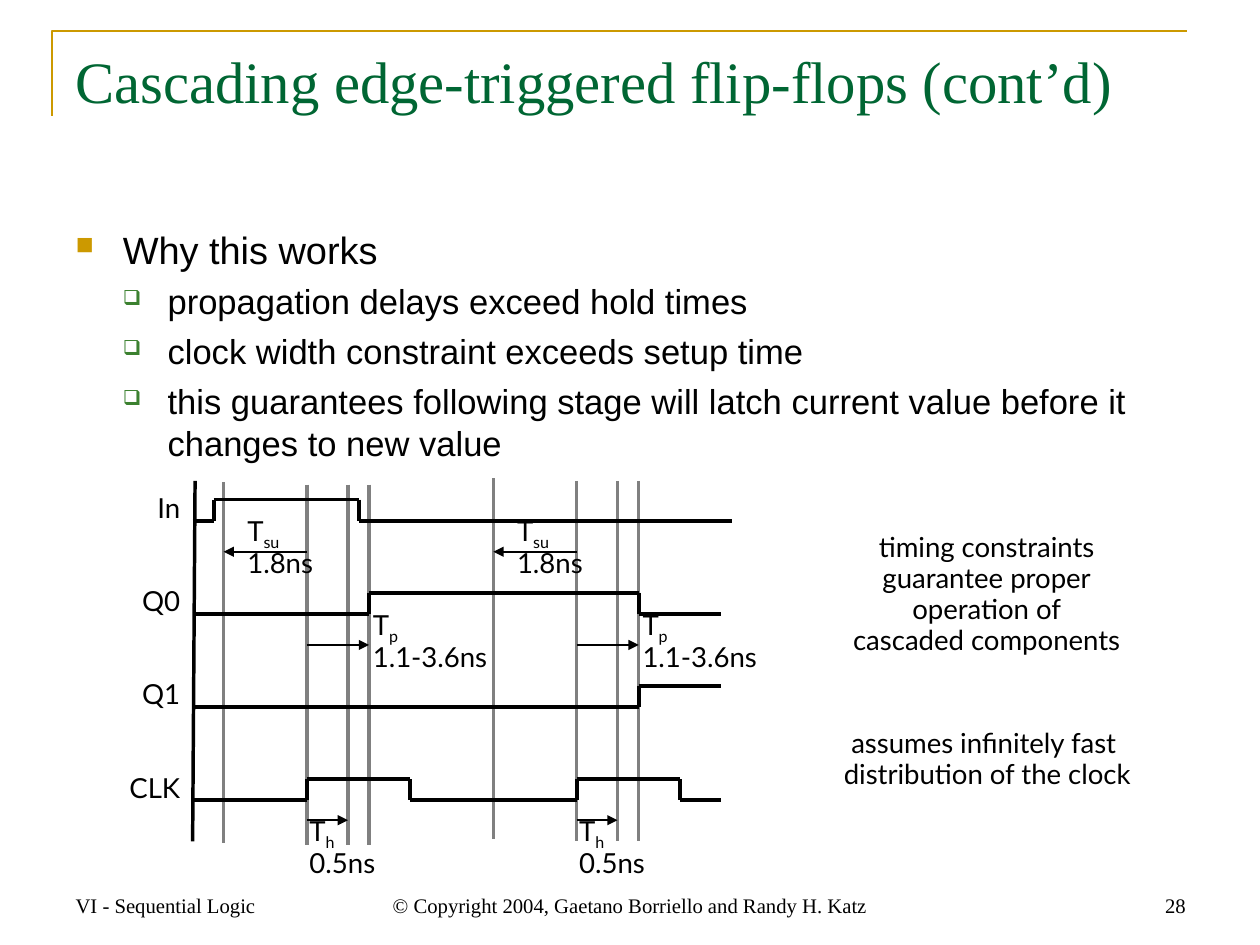
from itertools import pairwise

from lxml import etree
from pptx import Presentation
from pptx import util as u
from pptx.dml.color import RGBColor
from pptx.enum import shapes, text
from pptx.oxml.ns import qn

PX = 9144
COLORS = {"gold": "CC9900", "title": "006633", "ink": "000000",
          "guide": "808080", "check": "3B812F"}
SERIF, SANS, LABEL = "Times New Roman", "Arial", "Lato"
ALIGN = text.PP_ALIGN
TIGHT, ROOMY = (2, 3), (10, 5)


def px(length):
    return u.Emu(length * PX)


def rgb(color):
    return RGBColor.from_string(COLORS[color])


def text_frame(slide, box, inset=ROOMY, anchor=text.MSO_ANCHOR.TOP):
    frame = slide.shapes.add_textbox(*map(px, box)).text_frame
    frame.word_wrap = True
    frame.margin_left = frame.margin_right = px(inset[0])
    frame.margin_top = frame.margin_bottom = px(inset[1])
    frame.vertical_anchor = anchor
    return frame


def next_paragraph(frame):
    first = frame.paragraphs[0]
    return frame.add_paragraph() if first.runs else first


def style(paragraph, face, size, color="ink", align=ALIGN.LEFT, spacing=None):
    paragraph.alignment = align
    paragraph.font.name = face
    paragraph.font.size = u.Pt(size)
    paragraph.font.color.rgb = rgb(color)
    if spacing:
        paragraph.line_spacing = spacing


def add_bullet(paragraph, mark, color, percent, left, hang):
    props = paragraph._p.get_or_add_pPr()
    props.set("marL", str(px(left)))
    props.set("indent", str(px(-hang)))
    tint = etree.SubElement(props, qn("a:buClr"))
    etree.SubElement(tint, qn("a:srgbClr")).set("val", COLORS[color])
    etree.SubElement(props, qn("a:buSzPct")).set("val", str(percent * 1000))
    etree.SubElement(props, qn("a:buChar")).set("char", mark)


def add_line(slide, start, end, color, width, arrow=False):
    line = slide.shapes.add_connector(
        shapes.MSO_CONNECTOR.STRAIGHT, *map(px, (*start, *end)))
    line.line.color.rgb = rgb(color)
    line.line.width = u.Pt(width)
    if arrow:
        etree.SubElement(line.line._get_or_add_ln(), qn("a:tailEnd")).set("type", "triangle")
    etree.SubElement(line._element.spPr, qn("a:effectLst"))


def title_region(slide, box):
    left, top, width, height = box
    outline = slide.shapes.build_freeform(left - 9, top + 62, scale=PX)
    outline.add_line_segments(
        [(left - 9, top - 6), (left + width - 8, top - 6)], close=False)
    rule = outline.convert_to_shape()
    rule.shadow.inherit = False
    rule.fill.background()
    rule.line.color.rgb = rgb("gold")
    rule.line.width = u.Pt(1.5)
    heading = text_frame(slide, box).paragraphs[0]
    heading.add_run().text = "Cascading edge-triggered flip-flops (cont’d)"
    style(heading, SERIF, 34, "title")


def reasons_region(slide, box):
    frame = text_frame(slide, box)
    claim = next_paragraph(frame)
    claim.add_run().text = "Why this works"
    add_bullet(claim, "■", "gold", 65, 38, 38)
    style(claim, SANS, 22)
    for reason in (
        "propagation delays exceed hold times",
        "clock width constraint exceeds setup time",
        "this guarantees following stage will latch current value "
        "before it changes to new value",
    ):
        item = next_paragraph(frame)
        item.level = 1
        item.add_run().text = reason
        add_bullet(item, "❑", "check", 60, 74, 36)
        style(item, SANS, 20)
        item.space_before = u.Pt(5)


def note_region(slide, box, paragraphs):
    frame = text_frame(slide, box, TIGHT)
    for lines in paragraphs:
        paragraph = next_paragraph(frame)
        for row, line in enumerate(lines):
            if row:
                paragraph.add_line_break()
            paragraph.add_run().text = line
        style(paragraph, LABEL, 16, align=ALIGN.CENTER, spacing=u.Pt(18))


def delay_label(slide, box, subscript, delay, first_spacing):
    frame = text_frame(slide, box, TIGHT)
    symbol = next_paragraph(frame)
    symbol.add_run().text = "T"
    lowered = symbol.add_run()
    lowered.text = subscript
    lowered._r.get_or_add_rPr().set("baseline", "-25000")
    style(symbol, LABEL, 16, spacing=u.Pt(first_spacing))
    value = next_paragraph(frame)
    value.add_run().text = delay
    style(value, LABEL, 16, spacing=u.Pt(16))


def timing_region(slide, box):
    left, top, width, height = box
    edges = (92, 309)
    setup, hold, propagation = -67, 33, 50
    row_gap, swing, first_low = 75, 17, 34
    signals = {
        "In": ([17, 134], width),
        "Q0": ([edge + propagation for edge in edges], width - 9),
        "Q1": ([edges[1] + propagation], width - 9),
        "CLK": ([at for edge in edges for at in (edge, edge + 83)], width - 9),
    }

    def at(x, y):
        return left + x, top + y

    for edge, drop in zip(edges, (3, 0)):
        for offset in (setup, 0, hold, propagation):
            start = drop if offset == setup else drop + 2
            add_line(slide, at(edge + offset, start),
                     at(edge + offset, start + height), "guide", 2)
    add_line(slide, at(0, height + 2), at(2, 2), "ink", 2)

    names = text_frame(slide, (*at(-58, -8), 50, 276), TIGHT)
    for row, (name, (changes, end)) in enumerate(signals.items()):
        label = next_paragraph(names)
        label.add_run().text = name
        style(label, LABEL, 16, align=ALIGN.RIGHT, spacing=u.Pt(30))
        if row:
            label.space_before = u.Pt(24)
        low = first_low + row * row_gap
        level, trace = low, [at(0, low)]
        for change in changes:
            trace.append(at(change, level))
            level = 2 * low - swing - level
            trace.append(at(change, level))
        trace.append(at(end, level))
        for start, stop in pairwise(trace):
            add_line(slide, start, stop, "ink", 2.25)

    for edge in edges:
        for offset, arrow_y, label_x, label_y, label_width, subscript, delay, spacing in (
            (setup, 59, -50, 28, 62, "su", "1.8ns", 20),
            (propagation, 134, 51, 109, 105, "p", "1.1-3.6ns", 16),
            (hold, 275, 0, 275, 62, "h", "0.5ns", 16),
        ):
            add_line(slide, at(edge, arrow_y), at(edge + offset, arrow_y),
                     "ink", 1, arrow=True)
            delay_label(slide, (*at(edge + label_x, label_y), label_width, 54),
                        subscript, delay, spacing)


def footer_region(slide, box):
    left, top, width, height = box
    for offset, part_width, words, align in (
        (0, 237, "VI - Sequential Logic", ALIGN.LEFT),
        (245, 422, "© Copyright 2004, Gaetano Borriello and Randy H. Katz", ALIGN.CENTER),
        (width - 237, 237, "28", ALIGN.RIGHT),
    ):
        part = text_frame(slide, (left + offset, top, part_width, height),
                          anchor=text.MSO_ANCHOR.BOTTOM).paragraphs[0]
        part.add_run().text = words
        style(part, SERIF, 12, align=align)


def main():
    deck = Presentation()
    deck.slide_width = u.Pt(730)
    deck.slide_height = u.Pt(547.5)
    slide = deck.slides.add_slide(deck.slide_layouts[6])
    title_region(slide, (51, 31, 912, 126))
    note_region(slide, (650, 425, 288, 114), (
        ["timing constraints"], ["guarantee proper"],
        ["operation of"], ["cascaded components"]))
    note_region(slide, (657, 583, 275, 82), (
        ["assumes infinitely fast ", "distribution of the clock"],))
    reasons_region(slide, (51, 177, 912, 502))
    timing_region(slide, (155, 385, 434, 290))
    footer_region(slide, (51, 692, 913, 51))
    deck.save("out.pptx")


if __name__ == "__main__":
    main()
